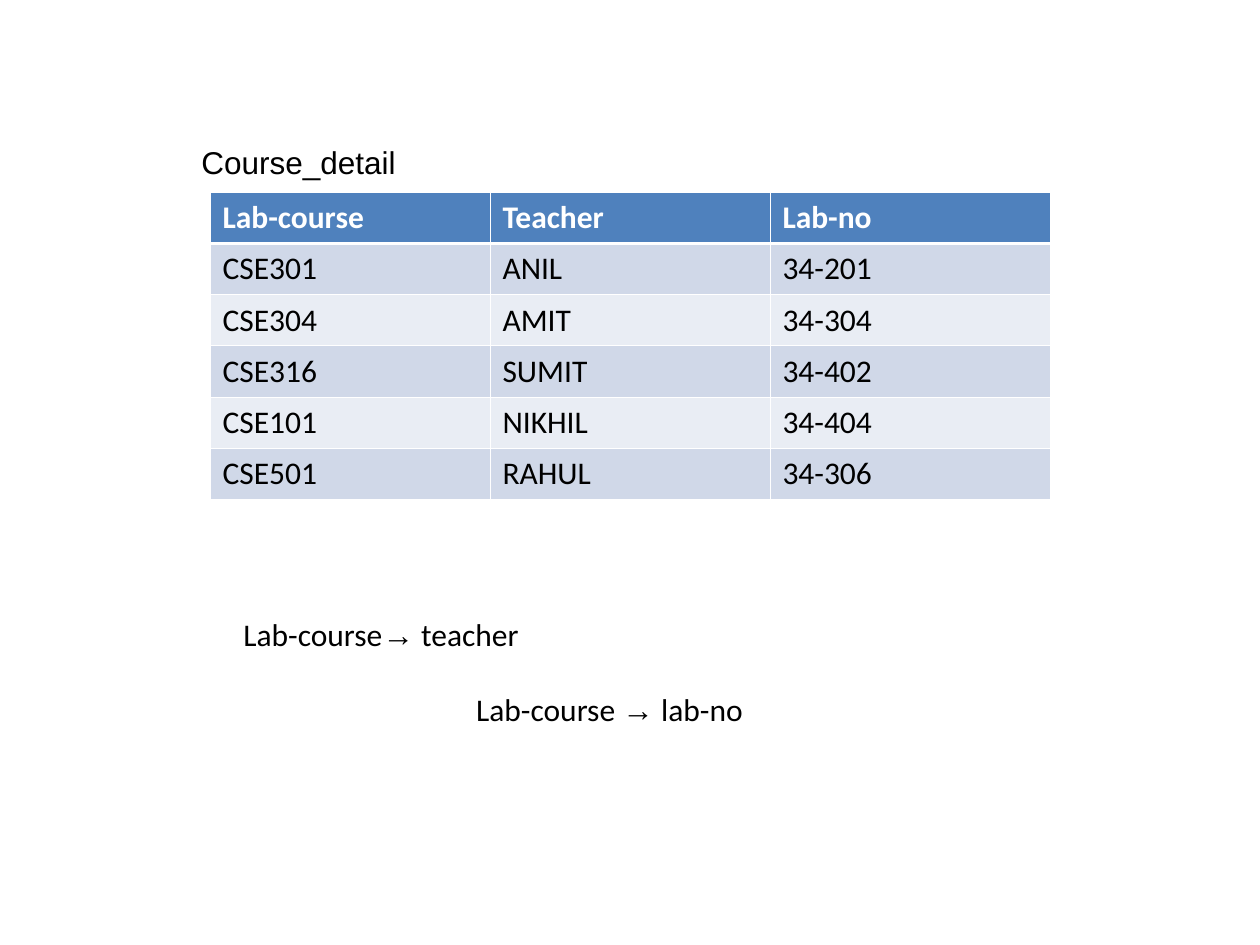
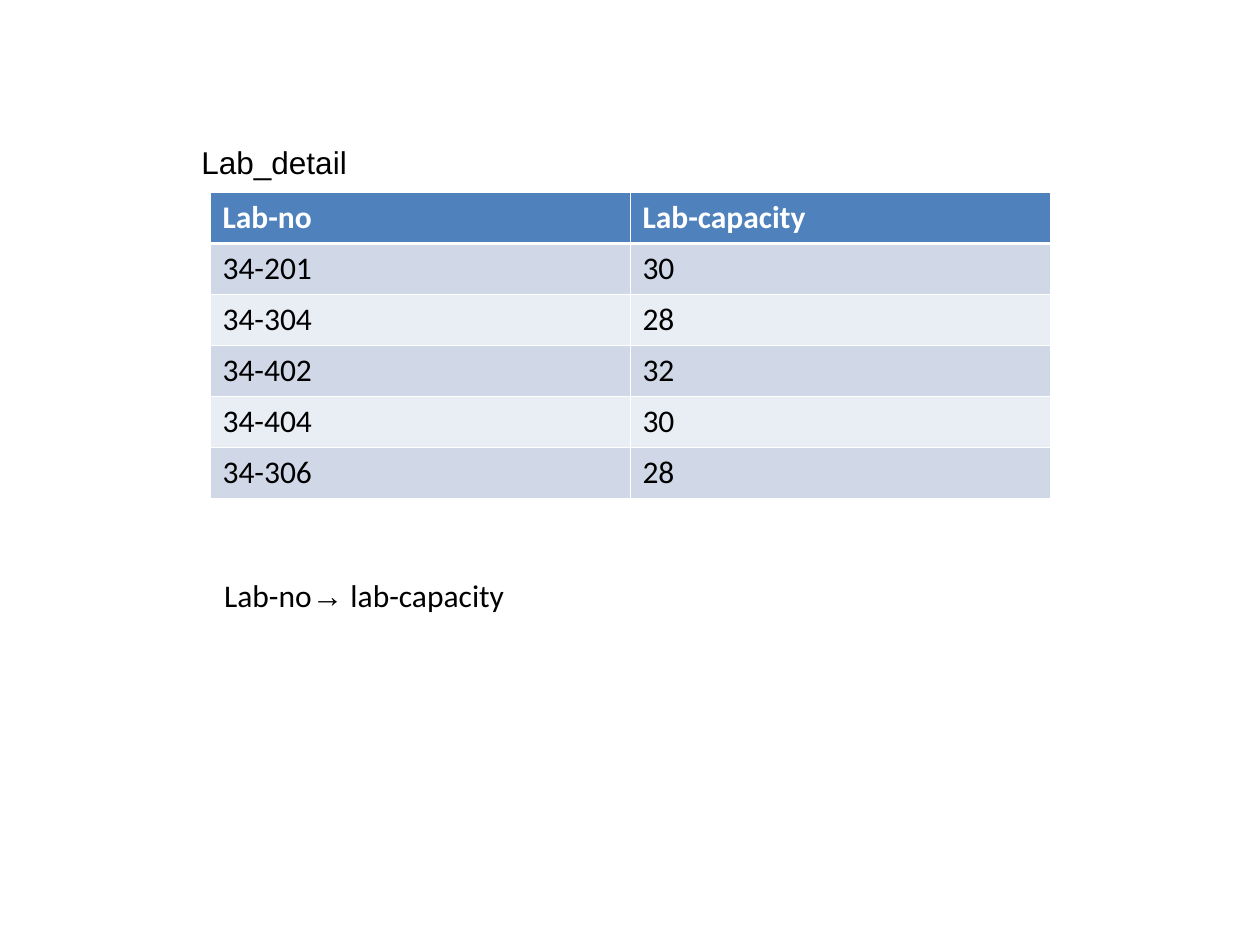
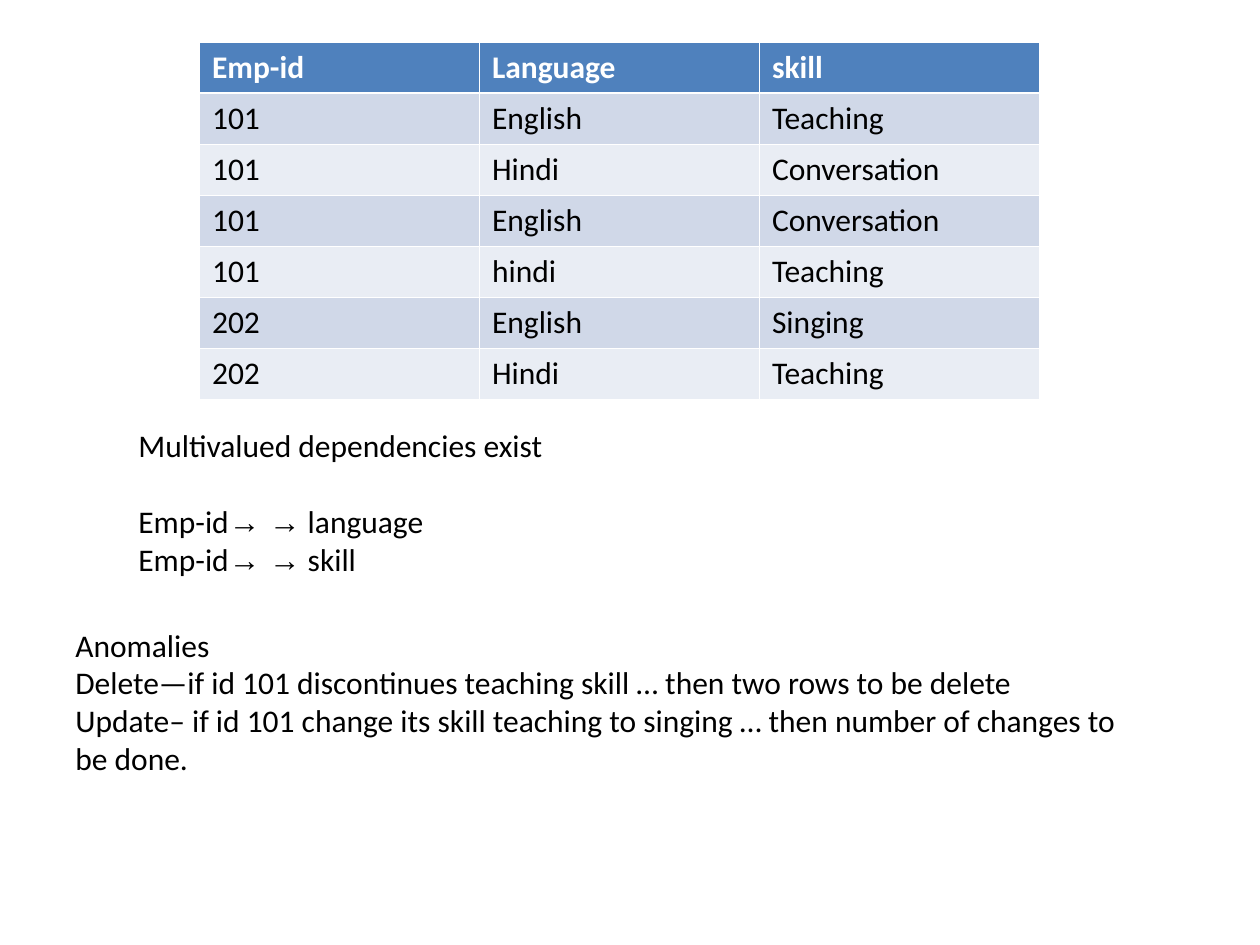
"""Build three slides on table decomposition and multivalued dependencies."""
import lxml.etree
import pptx
import pptx.dml.color
import pptx.enum.text
import pptx.oxml.ns
import pptx.util

Pt = pptx.util.Pt
RGBColor = pptx.dml.color.RGBColor
ANCHOR = pptx.enum.text.MSO_ANCHOR

BLACK = RGBColor(0x00, 0x00, 0x00)
WHITE = RGBColor(0xFF, 0xFF, 0xFF)
HEADER_BLUE = RGBColor(0x4F, 0x81, 0xBD)
BAND_COLOURS = (RGBColor(0xE9, 0xED, 0xF4), RGBColor(0xD0, 0xD8, 0xE8))

BODY_FONT = "Calibri"
CAPTION_FONT = ARROW_FONT = "Arial"
TEXT_SIZE = 18
ROW_HEIGHT = 29.16
THIN_RULE, HEADER_RULE = 0.45, 1.47
DETAIL_BOX = (120, 110, 480)
CAPTION_BOX = (108, 78, 156, 29)


def add_span(para, text, font=BODY_FONT, colour=BLACK, bold=False):
    """Add one formatted run to a paragraph."""
    span = para.add_run()
    span.text = text
    span.font.name = font
    span.font.size = Pt(TEXT_SIZE)
    span.font.bold = bold
    span.font.color.rgb = colour


def dependency(determinant, dependent, arrow="→"):
    """Return the runs of a functional or multivalued dependency."""
    return [(determinant, BODY_FONT), (arrow, ARROW_FONT), (" " + dependent, BODY_FONT)]


def add_text(page, box, lines, wrap=True, anchor=ANCHOR.TOP, gaps=None):
    """Write lines of runs in a box, with gaps before the lines named by index."""
    frame = page.shapes.add_textbox(*map(Pt, box)).text_frame
    frame.word_wrap = wrap
    frame.vertical_anchor = anchor
    for index, line in enumerate(lines):
        para = frame.paragraphs[0] if index == 0 else frame.add_paragraph()
        if gaps and index in gaps:
            para.space_before = Pt(gaps[index])
        for text, font in line:
            add_span(para, text, font)


def add_borders(cell, top, bottom):
    """Draw white rules on the four sides of a cell."""
    properties = cell._tc.get_or_add_tcPr()
    sides = (("L", THIN_RULE), ("R", THIN_RULE), ("T", top), ("B", bottom))
    for index, (side, width) in enumerate(sides):
        rule = lxml.etree.Element(pptx.oxml.ns.qn("a:ln" + side), w=str(int(Pt(width))))
        fill = lxml.etree.SubElement(rule, pptx.oxml.ns.qn("a:solidFill"))
        lxml.etree.SubElement(fill, pptx.oxml.ns.qn("a:srgbClr"), val=str(WHITE))
        properties.insert(index, rule)


def add_banded_table(page, box, rows):
    """Fill a box with equal columns under a blue header row."""
    left, top, width = box
    height = ROW_HEIGHT * len(rows)
    table = page.shapes.add_table(
        len(rows), len(rows[0]), Pt(left), Pt(top), Pt(width), Pt(height)).table
    table.first_row = table.horz_banding = False
    for row_index, values in enumerate(rows):
        table.rows[row_index].height = Pt(ROW_HEIGHT)
        header = row_index == 0
        for column, value in enumerate(values):
            cell = table.cell(row_index, column)
            cell.fill.solid()
            cell.fill.fore_color.rgb = HEADER_BLUE if header else BAND_COLOURS[row_index % 2]
            add_borders(cell, HEADER_RULE if row_index == 1 else THIN_RULE,
                        HEADER_RULE if header else THIN_RULE)
            add_span(cell.text_frame.paragraphs[0], value,
                     colour=WHITE if header else BLACK, bold=header)


def add_detail_page(deck, caption, rows):
    """Add a page with a captioned table and return it."""
    page = deck.slides.add_slide(deck.slide_layouts[6])
    add_banded_table(page, DETAIL_BOX, rows)
    add_text(page, CAPTION_BOX, [[(caption, CAPTION_FONT)]])
    return page


def add_course_page(deck):
    """Show which teacher and lab each course has."""
    page = add_detail_page(deck, "Course_detail", [
        ("Lab-course", "Teacher", "Lab-no"),
        ("CSE301", "ANIL", "34-201"),
        ("CSE304", "AMIT", "34-304"),
        ("CSE316", "SUMIT", "34-402"),
        ("CSE101", "NIKHIL", "34-404"),
        ("CSE501", "RAHUL", "34-306"),
    ])
    add_text(page, (132, 348, 360, 29), [dependency("Lab-course", "teacher")])
    add_text(page, (265, 391, 167, 29), [dependency("Lab-course ", "lab-no")], wrap=False)


def add_lab_page(deck):
    """Show the capacity of each lab."""
    page = add_detail_page(deck, "Lab_detail", [
        ("Lab-no", "Lab-capacity"),
        ("34-201", "30"),
        ("34-304", "28"),
        ("34-402", "32"),
        ("34-404", "30"),
        ("34-306", "28"),
    ])
    add_text(page, (121, 304, 480, 50.5), [dependency("Lab-no", "lab-capacity")],
             anchor=ANCHOR.BOTTOM)


def add_skill_page(deck):
    """Show multivalued dependencies and the anomalies they cause."""
    page = deck.slides.add_slide(deck.slide_layouts[6])
    add_banded_table(page, (114, 24, 480), [
        ("Emp-id", "Language", "skill"),
        ("101", "English", "Teaching"),
        ("101", "Hindi", "Conversation"),
        ("101", "English", "Conversation"),
        ("101", "hindi", "Teaching"),
        ("202", "English", "Singing"),
        ("202", "Hindi", "Teaching"),
    ])
    add_text(page, (72, 240, 534, 94), [
        [("Multivalued dependencies exist", BODY_FONT)],
        dependency("Emp-id", "language", "→ →"),
        dependency("Emp-id", "skill", "→ →"),
    ], gaps={1: 21.6})
    anomalies = (
        "Anomalies",
        "Delete—if id 101 discontinues teaching skill … then two rows to be delete",
        "Update– if id 101 change its skill teaching to singing … "
        "then number of changes to be done.",
    )
    add_text(page, (36, 354, 624, 94), [[(line, BODY_FONT)] for line in anomalies])


def main():
    """Build and save the deck."""
    deck = pptx.Presentation()
    deck.slide_width, deck.slide_height = Pt(720), Pt(540)
    add_course_page(deck)
    add_lab_page(deck)
    add_skill_page(deck)
    deck.save("out.pptx")


if __name__ == "__main__":
    main()
